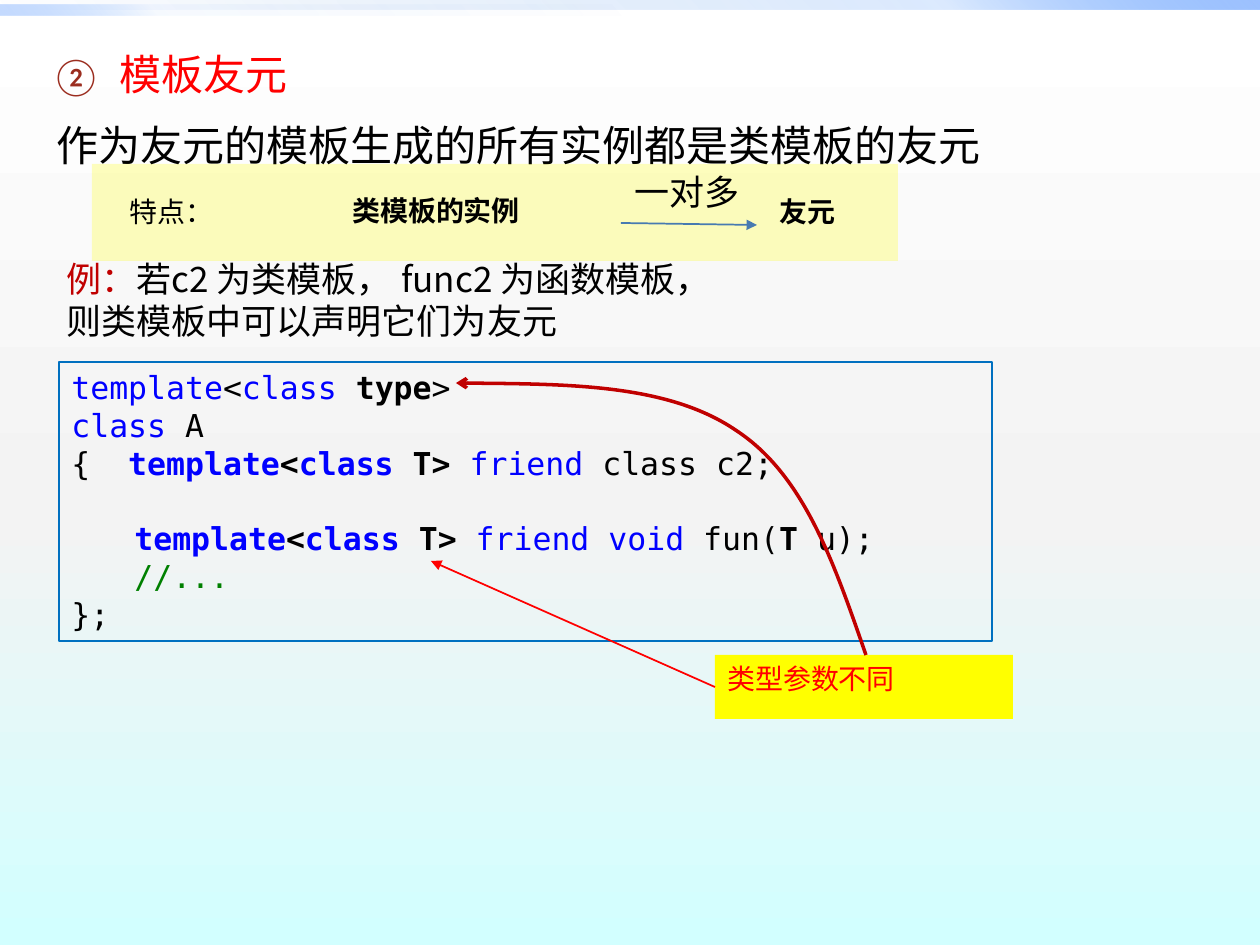
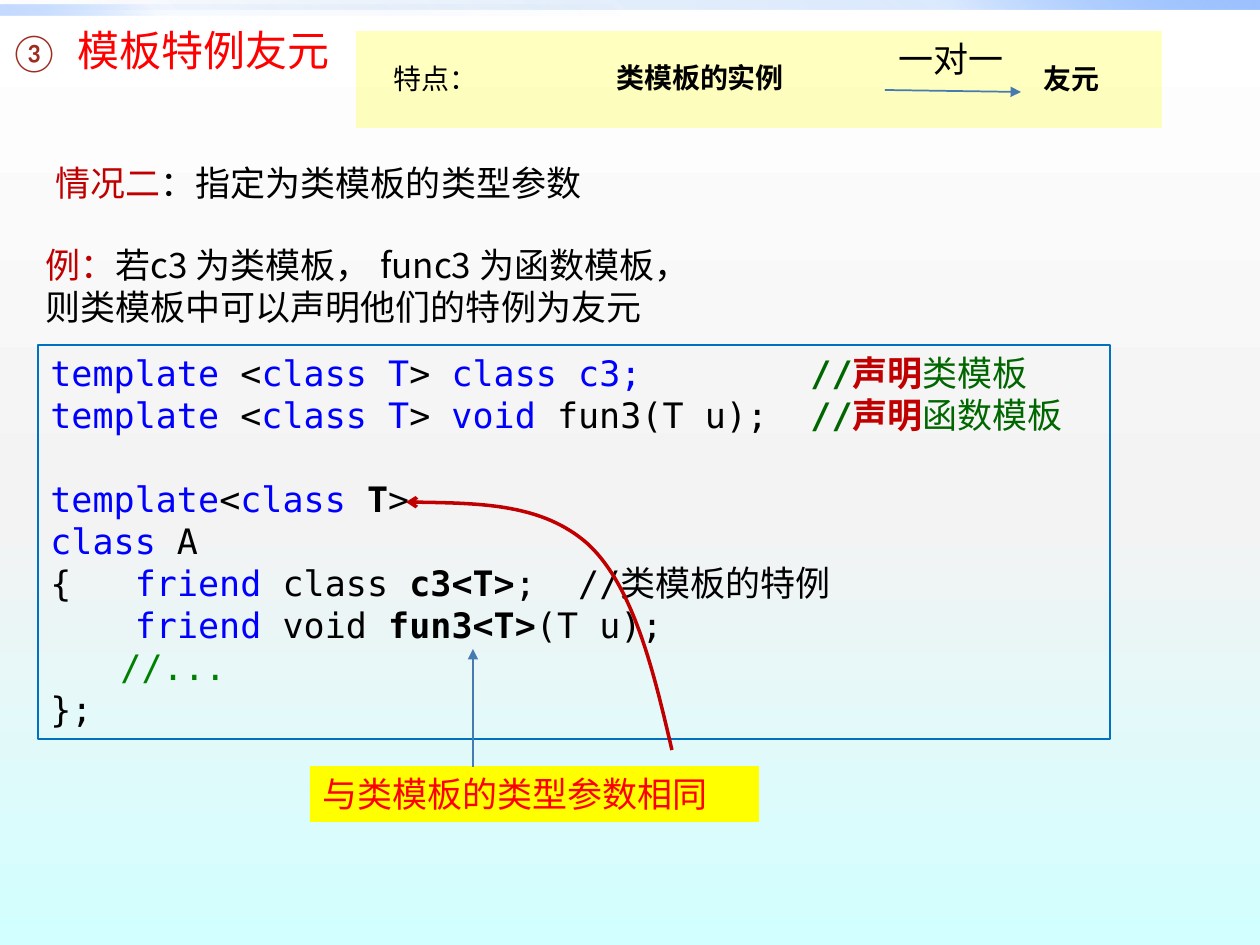
"""Build two slides on friend templates of C++ class templates."""
from lxml import etree
from pptx import Presentation, util as u
from pptx.dml.color import RGBColor
from pptx.enum import shapes as kinds
from pptx.oxml.ns import qn

PX = 914400 / 126
BLACK, RED, DARK_RED, KEYWORD = "000000", "FF0000", "C00000", "0000FF"
YELLOW, FRAME, STEEL, NUMBER = "FFFF00", "0070C0", "477AB1", "9B2D1F"
HEADING, BODY, CJK, MONO = "Comic Neue", "Lato", "Noto Sans CJK SC", "DejaVu Sans Mono"
INDENT, HANGING = 44, 63

BACKDROP = [(0, "FFFFFF", 100), (55, "F3F3F3", 100), (100, "D2FFFF", 100)]
BANDS = [
    ((0, 0, 1260, 10), 315, [(0, "0058B7", 0), (75, "4F95FF", 20), (100, "9EC2FF", 100)]),
    ((0, 5, 630, 10), 135, [(0, "0058B7", 0), (75, "4F95FF", 5), (100, "9EC2FF", 60)]),
]
STYLES = {
    "plain": (BLACK, False), "bold": (BLACK, True),
    "key": (KEYWORD, False), "keybold": (KEYWORD, True),
    "dots": ("008000", False), "note": ("006600", False), "slashes": ("006600", True),
    "stress": (DARK_RED, True), "lead": (DARK_RED, False), "alert": (RED, False),
}
CLASS_A = [("class", "key"), (" A", "plain")]
DOTS = [("　　", "plain"), ("//...", "dots")]
END = [("};", "plain")]
TEMPLATE_T = [("template", "keybold"), ("<", "bold"), ("class", "keybold"), (" T> ", "bold")]

SLIDES = [
    dict(
        title=("模板友元", 2, (0, 42, 1123, 136)),
        statement="作为友元的模板生成的所有实例都是类模板的友元",
        case=None,
        example=((10, 251, 872, 97), "若c2 为类模板， func2 为函数模板，", "则类模板中可以声明它们为友元"),
        feature=((92, 164), "一对多"),
        code_box=(59, 362, 933, 279), code_size=18,
        code=[
            [("template", "key"), ("<", "plain"), ("class", "key"), (" type", "bold"), (">", "plain")],
            CLASS_A,
            [("{  ", "plain"), *TEMPLATE_T, ("friend ", "key"), ("class c2;", "plain")],
            None,
            [("　　", "plain"), *TEMPLATE_T, ("friend void", "key"), (" fun(", "plain"),
             ("T", "bold"), (" u);", "plain")],
            DOTS, END,
        ],
        callout=((715, 655, 298, 64), "类型参数不同", 16),
        pointer=dict(start=None, end=(431, 561), color=RED),
        curve=[(866, 655), (835, 566), (805, 476), (737, 431), (669, 384), (562, 384), (456, 383)],
    ),
    dict(
        title=("模板特例友元", 3, (-42, 18, 1181, 63)),
        statement=None,
        case=((-1, 155, 620, 55), "情况二", "：指定为类模板的类型参数"),
        example=((-11, 237, 872, 97), "若c3 为类模板， func3 为函数模板，", "则类模板中可以声明他们的特例为友元"),
        feature=((356, 31), "一对一"),
        code_box=(38, 345, 1072, 394), code_size=20,
        code=[
            [("template ", "key"), ("<", "plain"), ("class T", "key"), (">", "plain"),
             (" class c3;        ", "key"), ("//", "slashes"), ("声明", "stress"), ("类模板", "note")],
            [("template", "key"), (" <", "plain"), ("class T", "key"), ("> ", "plain"), ("void", "key"),
             (" fun3(T u);  ", "plain"), ("//", "slashes"), ("声明", "stress"), ("函数模板", "note")],
            None,
            [("template", "key"), ("<", "plain"), ("class", "key"), (" T", "bold"), (">", "plain")],
            CLASS_A,
            [("{   ", "plain"), ("friend", "key"), (" class ", "plain"), ("c3<T>", "bold"),
             (";  //类模板的特例", "plain")],
            [("    ", "plain"), ("friend", "key"), (" void ", "plain"), ("fun3<T>", "bold"),
             ("(T u);", "plain")],
            DOTS, END,
        ],
        callout=((310, 766, 449, 56), "与类模板的类型参数相同", 20),
        pointer=dict(start=(473, 767), end=(473, 649), color=STEEL),
        curve=[(672, 750), (653, 668), (633, 586), (588, 544), (543, 504), (475, 503), (406, 502)],
    ),
]


def px(*lengths):
    return [u.Emu(round(n * PX)) for n in lengths]


def rgb(value):
    return RGBColor.from_string(value)


def child(parent, tag, **attributes):
    return etree.SubElement(parent, qn(tag), {k: str(v) for k, v in attributes.items()})


def shade(fill, owner, stops, angle):
    fill.gradient()
    fill.gradient_angle = 360 - angle
    stop_list = owner.find(".//" + qn("a:gsLst"))
    for old in list(stop_list):
        stop_list.remove(old)
    for position, color, opacity in stops:
        stop = child(stop_list, "a:gs", pos=position * 1000)
        child(child(stop, "a:srgbClr", val=color), "a:alpha", val=opacity * 1000)


def rectangle(shapes, place, fill=None, line=None, opacity=100):
    rect = shapes.add_shape(kinds.MSO_SHAPE.RECTANGLE, *px(*place))
    rect.shadow.inherit = False
    if fill:
        rect.fill.solid()
        rect.fill.fore_color.rgb = rgb(fill)
        if opacity < 100:
            child(rect.element.spPr.find(".//" + qn("a:srgbClr")), "a:alpha", val=opacity * 1000)
    else:
        rect.fill.background()
    if line:
        rect.line.color.rgb = rgb(line)
        rect.line.width = u.Pt(0.75)
    else:
        rect.line.fill.background()
    return rect


def write(holder, lines, size, font, indent=0, number=None, spacing=1.2, gap=0):
    frame = holder.text_frame
    frame.word_wrap = True
    frame.vertical_anchor = kinds_top
    blank_lines = 0
    used = 0
    for runs in lines:
        if runs is None:
            blank_lines += 1
            continue
        paragraph = frame.add_paragraph() if used else frame.paragraphs[0]
        numbered = number is not None and not used
        props = paragraph._p.get_or_add_pPr()
        props.set("algn", "l")
        left, first = (indent + HANGING, -HANGING) if numbered else (indent, 0)
        props.set("marL", str(px(left)[0]))
        props.set("indent", str(px(first)[0]))
        if numbered:
            child(child(props, "a:buClr"), "a:srgbClr", val=NUMBER)
            child(props, "a:buSzPct", val=85000)
            child(props, "a:buAutoNum", type="circleNumDbPlain", startAt=number)
        paragraph.line_spacing = u.Pt(size * spacing)
        paragraph.space_after = u.Pt(gap)
        if used:
            paragraph.space_before = u.Pt(gap + blank_lines * size * spacing)
        for words, style in runs:
            color, bold = STYLES[style]
            run = paragraph.add_run()
            run.text = words
            run.font.size, run.font.bold, run.font.name = u.Pt(size), bold, font
            run.font.color.rgb = rgb(color)
            child(run._r.get_or_add_rPr(), "a:ea", typeface=BODY)
        blank_lines = 0
        used += 1


def label(shapes, place, lines, size, font, **layout):
    write(shapes.add_textbox(*px(*place)), lines, size, font, **layout)


def arrow_end(outline, color, width, head):
    outline.color.rgb = rgb(color)
    outline.width = u.Pt(width)
    child(outline._get_or_add_ln(), "a:tailEnd", type=head)


def arrow(shapes, start, end, color):
    link = shapes.add_connector(kinds.MSO_CONNECTOR.STRAIGHT, *px(*start, *end))
    arrow_end(link.line, color, 1, "triangle")
    child(link.element.spPr, "a:effectLst")
    return link


def curved_arrow(shapes, points):
    builder = shapes.build_freeform(*points[0], scale=PX)
    builder.add_line_segments(points[1:], close=False)
    curve = builder.convert_to_shape()
    curve.shadow.inherit = False
    curve.fill.background()
    arrow_end(curve.line, DARK_RED, 2, "arrow")
    segments = list(curve.element.iter(qn("a:lnTo")))
    outline = segments[0].getparent()
    for i in range(0, len(segments), 3):
        bend = child(outline, "a:cubicBezTo")
        for segment in segments[i:i + 3]:
            bend.append(segment[0])
            outline.remove(segment)


def feature_band(slide, corner, relation):
    x, y = corner
    shapes = slide.shapes.add_group_shape().shapes
    rectangle(shapes, (x, y, 806, 97), YELLOW, opacity=25)
    loose = dict(indent=INDENT, spacing=1.8)
    label(shapes, (x - 19, y + 8, 843, 89), [[("特点：", "plain")]], 16, HEADING, **loose)
    label(shapes, (x + 248, y + 23, 281, 63), [[("类模板的实例", "bold")]], 16, HEADING)
    label(shapes, (x + 631, y + 8, 155, 89), [[("友元", "bold")]], 16, HEADING, **loose)
    arrow(shapes, (x + 529, y + 59), (x + 665, y + 61), STEEL)
    label(shapes, (x + 530, y, 212, 55), [[(relation, "plain")]], 20, BODY)


def build(slide, content):
    shade(slide.background.fill, slide.element, BACKDROP, 90)
    shapes = slide.shapes
    for place, angle, stops in BANDS:
        band = rectangle(shapes, place)
        shade(band.fill, band.element.spPr, stops, angle)

    title, number, place = content["title"]
    heading = [[(title, "alert")]]
    if content["statement"]:
        heading.append([(content["statement"], "plain")])
    label(shapes, place, heading, 24, HEADING, indent=INDENT, number=number, gap=6)

    code = rectangle(shapes, content["code_box"], line=FRAME)
    write(code, content["code"], content["code_size"], MONO)

    place, words, size = content["callout"]
    callout = rectangle(shapes, place, YELLOW)
    write(callout, [[(words, "alert")]], size, BODY)

    pointer = content["pointer"]
    link = arrow(shapes, pointer["start"] or place[:2], pointer["end"], pointer["color"])
    if pointer["start"] is None:
        link.begin_connect(callout, 1)
    curved_arrow(shapes, content["curve"])

    place, setting, result = content["example"]
    label(shapes, place, [[("例：", "lead"), (setting, "plain")], [(result, "plain")]],
          20, CJK, indent=INDENT)
    if content["case"]:
        place, name, rule = content["case"]
        label(shapes, place, [[(name, "lead"), (rule, "plain")]], 20, HEADING, indent=INDENT)
    feature_band(slide, *content["feature"])


def main():
    deck = Presentation()
    deck.slide_width, deck.slide_height = px(1260, 945)
    for content in SLIDES:
        build(deck.slides.add_slide(deck.slide_layouts[6]), content)
    deck.save("out.pptx")


from pptx.enum import text
kinds_top = text.MSO_ANCHOR.TOP

if __name__ == "__main__":
    main()
